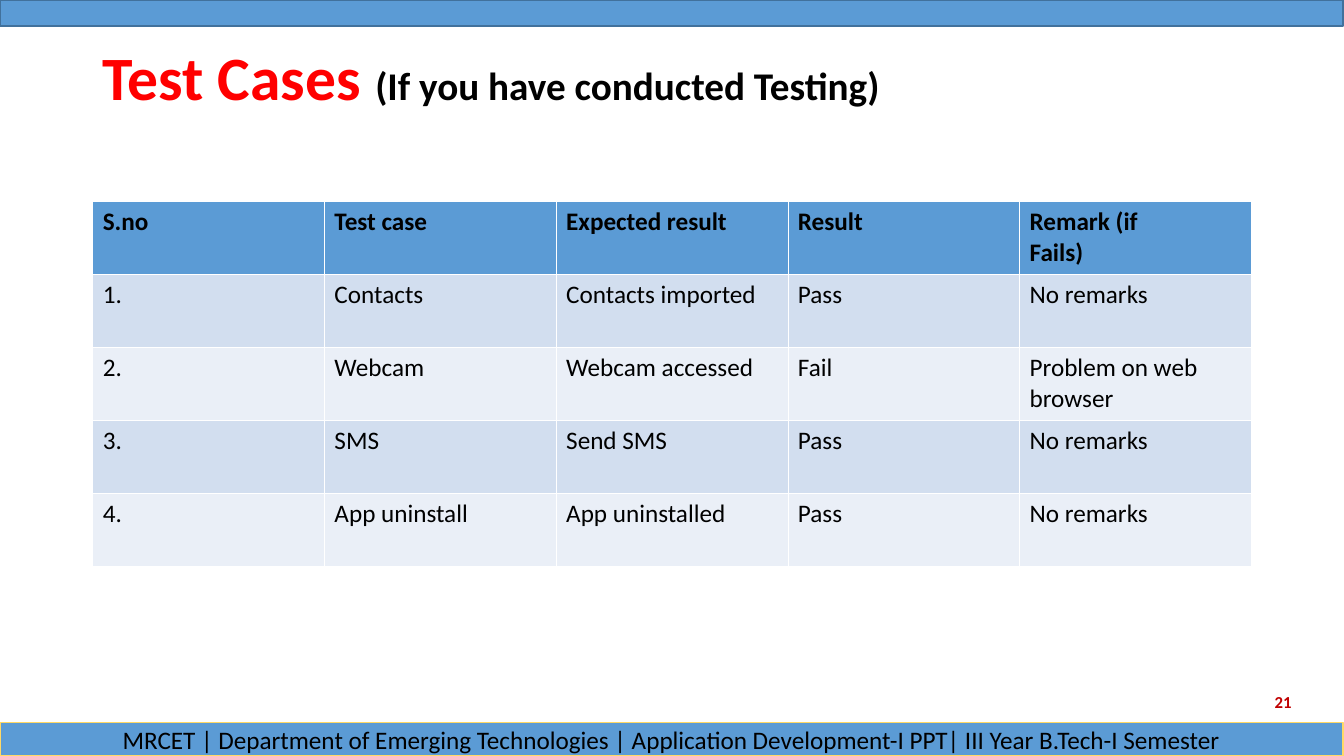
import pptx
import pptx.util
import pptx.dml.color
import pptx.enum.shapes
import pptx.enum.text
import lxml.etree
import pptx.oxml.ns

Inches = pptx.util.Inches
Pt = pptx.util.Pt
ANCHOR = pptx.enum.text.MSO_ANCHOR
ALIGN = pptx.enum.text.PP_ALIGN
BLUE = "5B9BD5"
WHITE = "FFFFFF"


def colour(value):
    return pptx.dml.color.RGBColor.from_string(value)


def add_span(para, text, size, ink="000000", bold=False):
    span = para.add_run()
    span.text = text
    span.font.color.rgb = colour(ink)
    for name, value in {"name": "Calibri", "size": Pt(size), "bold": bold}.items():
        setattr(span.font, name, value)


deck = pptx.Presentation()
deck.slide_width = Inches(13.34)
deck.slide_height = Inches(7.5)
page = deck.slides.add_slide(deck.slide_layouts[5])

bars = []
for top, height, edge in [(0, 0.26, "41719C"), (7.17, 0.33, "FFD966")]:
    bar = page.shapes.add_shape(
        pptx.enum.shapes.MSO_SHAPE.RECTANGLE,
        Inches(0), Inches(top), Inches(13.33), Inches(height))
    bar.shadow.inherit = False
    bar.fill.solid()
    bar.fill.fore_color.rgb = colour(BLUE)
    bar.line.color.rgb = colour(edge)
    bar.line.width = Pt(1)
    bars.append(bar)

footer = bars[1].text_frame
footer.vertical_anchor = ANCHOR.MIDDLE
footer.paragraphs[0].alignment = ALIGN.CENTER
add_span(footer.paragraphs[0],
         "MRCET | Department of Emerging Technologies | "
         "Application Development-I PPT| III Year B.Tech-I Semester", 18)

title = page.shapes.title
place = {"left": 0.92, "top": 0.38, "width": 11.5, "height": 0.84}
for name, value in place.items():
    setattr(title, name, Inches(value))
title_format = {"vertical_anchor": ANCHOR.MIDDLE, "word_wrap": True,
                "auto_size": pptx.enum.text.MSO_AUTO_SIZE.NONE}
for name, value in title_format.items():
    setattr(title.text_frame, name, value)
para = title.text_frame.paragraphs[0]
para.alignment = ALIGN.LEFT
para.line_spacing = 0.9
add_span(para, "Test Cases ", 44, "FF0000", True)
add_span(para, "(If you have conducted Testing)", 28, bold=True)

cases = [
    ["S.no", "Test case", "Expected result", "Result", "Remark (if\nFails)"],
    ["1.", "Contacts", "Contacts imported", "Pass", "No remarks"],
    ["2.", "Webcam", "Webcam accessed", "Fail", "Problem on web browser"],
    ["3.", "SMS", "Send SMS", "Pass", "No remarks"],
    ["4.", "App uninstall", "App uninstalled", "Pass", "No remarks"],
]
table = page.shapes.add_table(
    len(cases), len(cases[0]),
    Inches(0.92), Inches(2), Inches(11.5), Inches(3.62)).table

for row, case in enumerate(cases):
    header = row == 0
    fill = BLUE if header else ["EAEFF7", "D2DEEF"][row % 2]
    widths = {"lnL": 0.45, "lnR": 0.45,
              "lnT": 1.47 if row == 1 else 0.45,
              "lnB": 1.47 if header else 0.45}
    for column, text in enumerate(case):
        cell = table.cell(row, column)
        properties = cell._tc.get_or_add_tcPr()
        for side, width in widths.items():
            border = lxml.etree.SubElement(
                properties, pptx.oxml.ns.qn("a:" + side), w=str(Pt(width)))
            paint = lxml.etree.SubElement(border, pptx.oxml.ns.qn("a:solidFill"))
            lxml.etree.SubElement(paint, pptx.oxml.ns.qn("a:srgbClr"), val=WHITE)
        cell.fill.solid()
        cell.fill.fore_color.rgb = colour(fill)
        for index, line in enumerate(text.split("\n")):
            frame = cell.text_frame
            para = frame.add_paragraph() if index else frame.paragraphs[0]
            add_span(para, line, 18, bold=header)

number = page.shapes.add_textbox(Inches(9.92), Inches(6.76), Inches(3), Inches(0.4))
number.text_frame.word_wrap = True
number.text_frame.vertical_anchor = ANCHOR.MIDDLE
para = number.text_frame.paragraphs[0]
para.alignment = ALIGN.RIGHT
add_span(para, "21", 12, "C00000", True)

deck.save("out.pptx")
